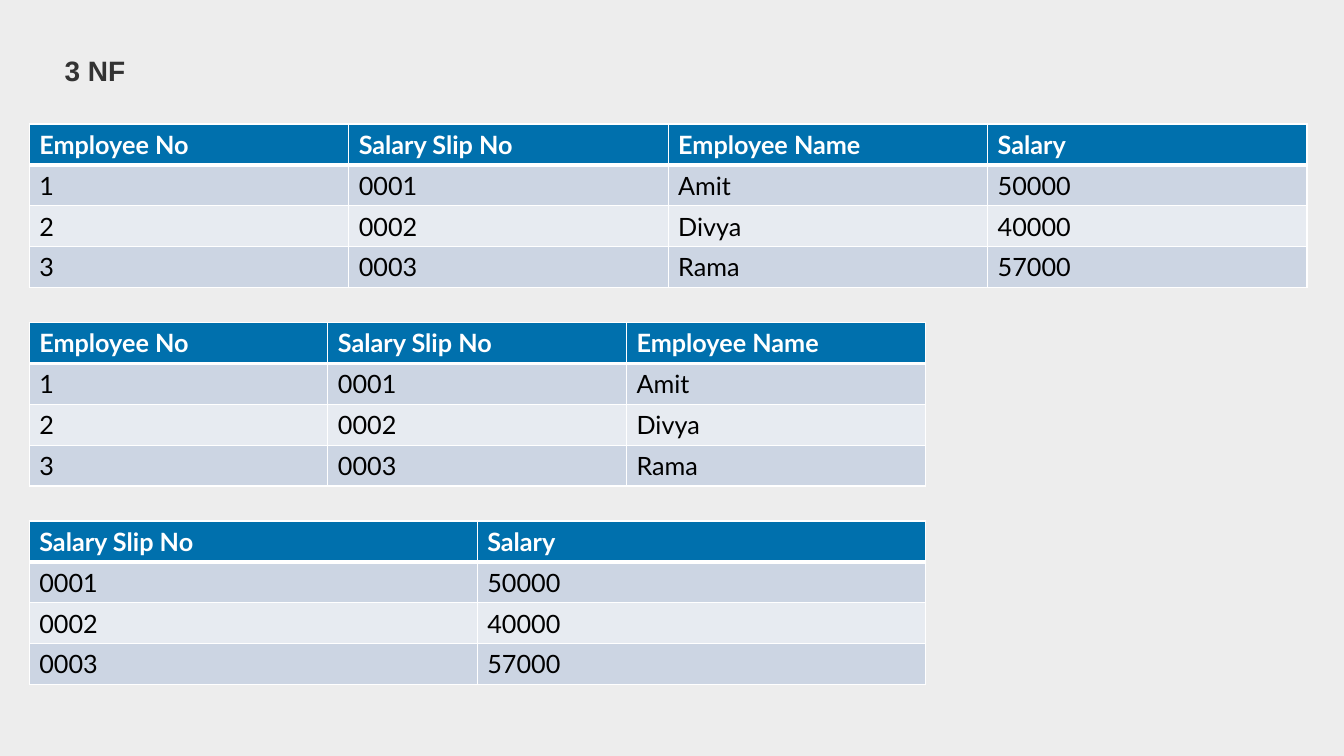
"""Build the third normal form slide: one salary table split into two."""
from dataclasses import dataclass

from lxml import etree
from pptx import Presentation
from pptx.dml.color import RGBColor
from pptx.enum.text import MSO_ANCHOR, MSO_AUTO_SIZE, PP_ALIGN
from pptx.oxml.ns import qn
from pptx.util import Pt

MIDDLE = MSO_ANCHOR.MIDDLE
TOP = MSO_ANCHOR.TOP
LEFT = PP_ALIGN.LEFT
NO_AUTOFIT = MSO_AUTO_SIZE.NONE

TITLE = "3 NF"
EMPLOYEES = [
    {"Employee No": "1", "Salary Slip No": "0001", "Employee Name": "Amit", "Salary": "50000"},
    {"Employee No": "2", "Salary Slip No": "0002", "Employee Name": "Divya", "Salary": "40000"},
    {"Employee No": "3", "Salary Slip No": "0003", "Employee Name": "Rama", "Salary": "57000"},
]
RELATIONS = [
    (["Employee No", "Salary Slip No", "Employee Name", "Salary"], 912.8),
    (["Employee No", "Salary Slip No", "Employee Name"], 640),
    (["Salary Slip No", "Salary"], 640),
]


@dataclass(frozen=True)
class Theme:
    """Colours, fonts and type sizes of the slide."""
    background: str = "EDEDED"
    title: str = "333333"
    header: str = "0070AD"
    header_text: str = "FFFFFF"
    body_text: str = "000000"
    bands: tuple = ("CCD5E3", "E7EBF1")
    border: str = "FFFFFF"
    title_font: str = "Arial"
    table_font: str = "Lato"
    title_size: float = 20
    table_size: float = 18
    thin: float = 1
    thick: float = 3


THEME = Theme()
SLIDE_WIDTH, SLIDE_HEIGHT = 960, 540
MARGIN_LEFT = 20.9
FIRST_TABLE_TOP = 88.6
TABLE_STEP = 141.8
ROW_HEIGHT = 29.2


def format_runs(paragraph, font_name, size, colour, bold):
    """Apply one type style to every run of a paragraph."""
    for run in paragraph.runs:
        run.font.name = font_name
        run.font.size = Pt(size)
        run.font.bold = bold
        run.font.color.rgb = RGBColor.from_string(colour)


def add_title(slide):
    """Place and format the title placeholder."""
    shape = slide.shapes.title
    shape.left, shape.top, shape.width, shape.height = Pt(MARGIN_LEFT), Pt(33), Pt(76.3), Pt(31.7)
    frame = shape.text_frame
    frame.text = TITLE
    frame.word_wrap = False
    frame.auto_size = NO_AUTOFIT
    frame.vertical_anchor = TOP
    paragraph = frame.paragraphs[0]
    paragraph.alignment = LEFT
    paragraph.line_spacing = 1.07
    paragraph.space_after = Pt(8)
    properties = paragraph._p.get_or_add_pPr()
    properties.set("marL", str(Pt(18)))
    properties.set("indent", "0")
    format_runs(paragraph, THEME.title_font, THEME.title_size, THEME.title, True)


def set_borders(cell, top, bottom):
    """Draw the four cell borders, with given top and bottom weights."""
    properties = cell._tc.get_or_add_tcPr()
    weights = {"a:lnL": THEME.thin, "a:lnR": THEME.thin, "a:lnT": top, "a:lnB": bottom}
    for position, (tag, weight) in enumerate(weights.items()):
        line = etree.Element(qn(tag), w=str(Pt(weight)))
        fill = etree.SubElement(line, qn("a:solidFill"))
        etree.SubElement(fill, qn("a:srgbClr"), val=THEME.border)
        properties.insert(position, line)


def format_cell(cell, row_index):
    """Style a cell as header or as part of a banded body row."""
    is_header = row_index == 0
    fill_colour = THEME.header if is_header else THEME.bands[(row_index - 1) % 2]
    text_colour = THEME.header_text if is_header else THEME.body_text
    cell.vertical_anchor = MIDDLE
    cell.fill.solid()
    cell.fill.fore_color.rgb = RGBColor.from_string(fill_colour)
    format_runs(cell.text_frame.paragraphs[0], THEME.table_font, THEME.table_size,
                text_colour, is_header)
    set_borders(cell, THEME.thick if row_index == 1 else THEME.thin,
                THEME.thick if is_header else THEME.thin)


def add_relation(slide, fields, width, top):
    """Add a table holding the chosen fields of every employee."""
    rows = [fields] + [[employee[field] for field in fields] for employee in EMPLOYEES]
    table = slide.shapes.add_table(len(rows), len(fields), Pt(MARGIN_LEFT), Pt(top),
                                   Pt(width), Pt(ROW_HEIGHT * len(rows))).table
    for column in table.columns:
        column.width = Pt(width / len(fields))
    for row_index, values in enumerate(rows):
        table.rows[row_index].height = Pt(ROW_HEIGHT)
        for column_index, value in enumerate(values):
            cell = table.cell(row_index, column_index)
            cell.text_frame.text = value
            format_cell(cell, row_index)


def main():
    """Create and save the presentation."""
    presentation = Presentation()
    presentation.slide_width = Pt(SLIDE_WIDTH)
    presentation.slide_height = Pt(SLIDE_HEIGHT)
    slide = presentation.slides.add_slide(presentation.slide_layouts.get_by_name("Title Only"))
    slide.background.fill.solid()
    slide.background.fill.fore_color.rgb = RGBColor.from_string(THEME.background)
    add_title(slide)
    for index, (fields, width) in enumerate(RELATIONS):
        add_relation(slide, fields, width, FIRST_TABLE_TOP + index * TABLE_STEP)
    presentation.save("out.pptx")


if __name__ == "__main__":
    main()
